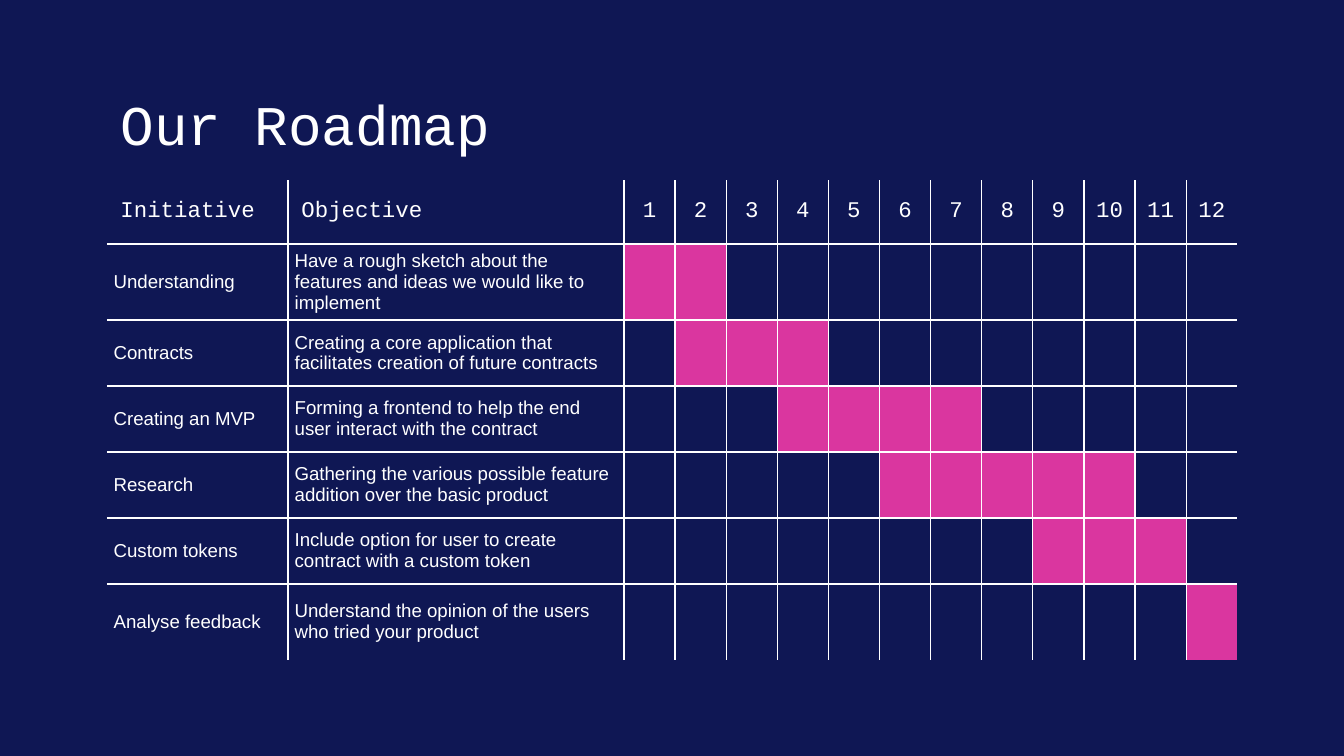
from lxml import etree
from pptx import Presentation
from pptx import util as u
from pptx.dml.color import RGBColor
from pptx.enum import text
from pptx.oxml import ns

NAVY, PINK, WHITE = "0F1754", "DA369F", "FFFFFF"
MONO, SANS = "Courier New", "Arial"
NO_GRID_STYLE = "{2D5ABB26-0587-4C30-8999-92F81FD0307C}"
MONTHS = 12

# initiative, objective, first month, last month
ROADMAP = [
    ("Understanding", "Have a rough sketch about the features and ideas we would like to implement", 1, 2),
    ("Contracts", "Creating a core application that facilitates creation of future contracts", 2, 4),
    ("Creating an MVP", "Forming a frontend to help the end user interact with the contract", 4, 7),
    ("Research", "Gathering the various possible feature addition over the basic product", 6, 10),
    ("Custom tokens", "Include option for user to create contract with a custom token", 9, 11),
    ("Analyse feedback", "Understand the opinion of the users who tried your product", 12, 12),
]


def px(n):
    return u.Emu(round(n * u.Inches(10) / 1344))


def rgb(color):
    return RGBColor.from_string(color)


prs = Presentation()
prs.slide_width, prs.slide_height = px(1344), px(756)
s = prs.slides.add_slide(prs.slide_layouts[5])
s.background.fill.solid()
s.background.fill.fore_color.rgb = rgb(NAVY)

title = s.shapes.title
title.left, title.top, title.width, title.height = px(107), px(66), px(1133), px(85)
tf = title.text_frame
tf.text = "Our Roadmap"
tf.vertical_anchor = text.MSO_ANCHOR.TOP
tf.margin_left = tf.margin_right = tf.margin_top = tf.margin_bottom = u.Inches(0.1)
p = tf.paragraphs[0]
p.alignment = text.PP_ALIGN.LEFT
p.line_spacing = 1.15
font = p.runs[0].font
font.name, font.size, font.color.rgb = MONO, u.Pt(30), rgb(WHITE)

row_heights = [64] + [66] * 5 + [76]
col_widths = [181, 336] + [614 / MONTHS] * MONTHS
n_rows, n_cols = len(row_heights), len(col_widths)
table = s.shapes.add_table(n_rows, n_cols, px(107), px(180),
                           px(sum(col_widths)), px(sum(row_heights))).table
table.first_row = table.horz_banding = False
table._tbl.tblPr.find(ns.qn("a:tableStyleId")).text = NO_GRID_STYLE
for row, height in zip(table.rows, row_heights):
    row.height = px(height)
for col, width in zip(table.columns, col_widths):
    col.width = px(width)

headers = ["Initiative", "Objective"] + [str(m) for m in range(1, MONTHS + 1)]
for r in range(n_rows):
    for c in range(n_cols):
        cell = table.cell(r, c)
        month = c - 1
        if r == 0:
            words, name, size = headers[c], MONO, 12
            margins = [(0.1, 0.07, 0.1, 0.07), (0.1, 0, 0, 0)][c] if c < 2 else (0, 0, 0, 0)
        else:
            words, name, size = ROADMAP[r - 1][c] if c < 2 else "", SANS, 10
            margins = (0.05,) * 4

        cell.margin_left, cell.margin_top, cell.margin_right, cell.margin_bottom = map(u.Inches, margins)
        cell.vertical_anchor = text.MSO_ANCHOR.MIDDLE
        cell.text = words
        p = cell.text_frame.paragraphs[0]
        p.alignment = text.PP_ALIGN.LEFT if c < 2 else text.PP_ALIGN.CENTER
        for run in p.runs:
            run.font.name, run.font.size = name, u.Pt(size)
            run.font.color.rgb = rgb(WHITE)

        # Only inner edges are ruled; lines must precede the fill in tcPr.
        tc_pr = cell._tc.get_or_add_tcPr()
        inner = {"lnL": c > 0, "lnR": c < n_cols - 1, "lnT": r > 0, "lnB": r < n_rows - 1}
        for edge in (e for e, ruled in inner.items() if ruled):
            ln = etree.SubElement(tc_pr, ns.qn(f"a:{edge}"), w=str(u.Pt(0.75)))
            fill = etree.SubElement(ln, ns.qn("a:solidFill"))
            etree.SubElement(fill, ns.qn("a:srgbClr"), val=WHITE)
        if r > 0 and ROADMAP[r - 1][2] <= month <= ROADMAP[r - 1][3]:
            cell.fill.solid()
            cell.fill.fore_color.rgb = rgb(PINK)
        else:
            cell.fill.background()

prs.save("out.pptx")
